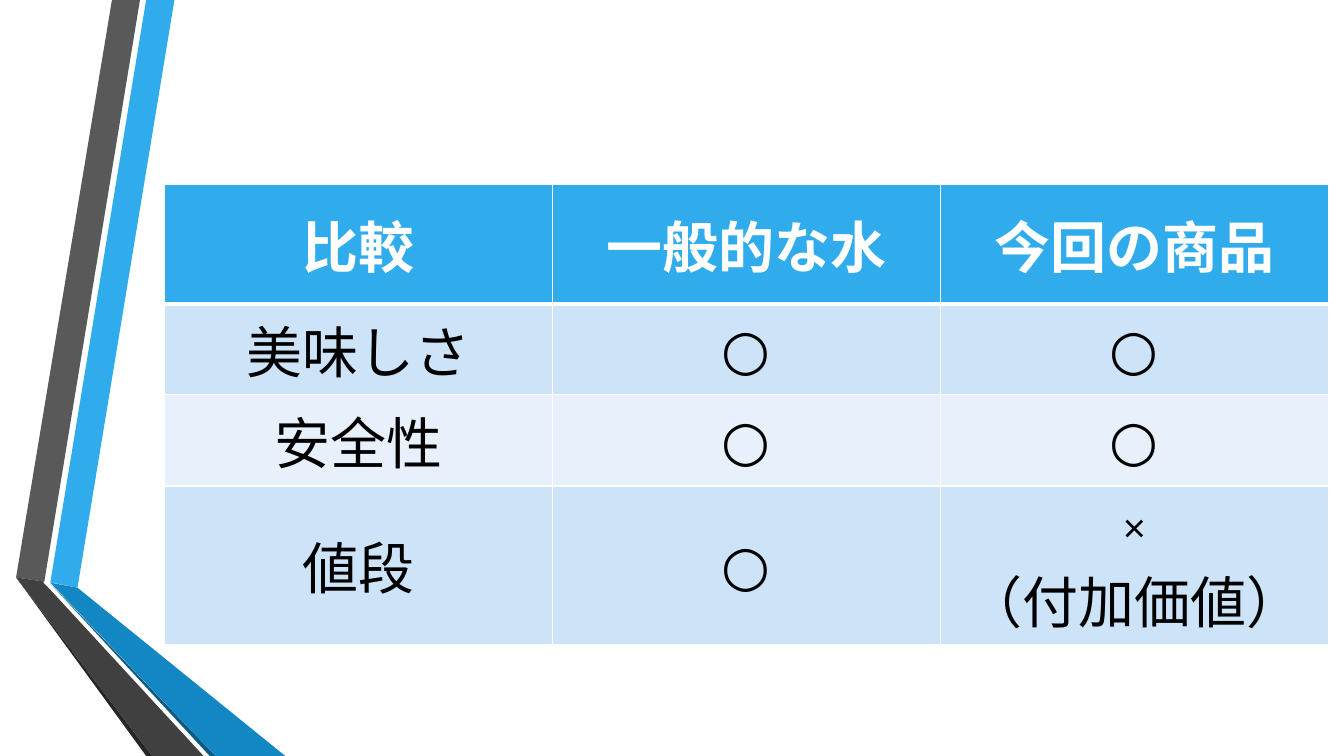
from lxml.etree import SubElement
from pptx import Presentation
from pptx.dml.color import RGBColor
from pptx.enum.text import MSO_ANCHOR as Anchor, PP_ALIGN as Align
from pptx.oxml.ns import qn
from pptx.util import Pt

COLORS = {
    "white": "FFFFFF", "black": "000000",
    "sky": "30ACEC", "ocean": "1287C3", "navy": "0C5A82",
    "gray": "595959", "charcoal": "404040", "ink": "262626",
    "band": "CDE3F8", "pale": "E8F1FB",
}
FONT = "Cabin"

# Ribbon facets from back to front: colour and corners in points
RIBBON = [
    ("sky", [(36, 416), (55.4, 419.8), (124.6, 0), (104.4, 0)]),
    ("gray", [(100, 0), (80, 0), (11.5, 412.5), (31.7, 415.5)]),
    ("ink", [(11.5, 412.5), (104.4, 540), (108.7, 540)]),
    ("navy", [(36, 416.9), (149.8, 540), (154, 540)]),
    ("ocean", [(36, 416.2), (154, 540), (203.8, 540), (55.4, 419.8)]),
    ("charcoal", [(145.4, 540), (34.6, 419.8), (31, 416.2), (31.7, 415.5),
                  (11.5, 412.5), (108.7, 540)]),
]

COMPARISON = [
    ["比較", "一般的な水", "今回の商品"],
    ["美味しさ", "○", "○"],
    ["安全性", "○", "○"],
    ["値段", "○", "×\n（付加価値）"],
]


def rgb(name):
    return RGBColor.from_string(COLORS[name])


def write(frame, text, size=40, color="black", bold=False, align=Align.CENTER):
    frame.text = text
    for paragraph in frame.paragraphs:
        paragraph.alignment = align
        for run in paragraph.runs:
            font = run.font
            font.name, font.size, font.bold = FONT, Pt(size), bold
            font.color.rgb = rgb(color)


class ComparisonSlide:
    def __init__(self, deck):
        self.slide = deck.slides.add_slide(deck.slide_layouts[6])
        self.border = "white"

    def facet(self, color, corners):
        start, *others = [(Pt(x), Pt(y)) for x, y in corners]
        outline = self.slide.shapes.build_freeform(*start)
        outline.add_line_segments(others, close=True)
        facet = outline.convert_to_shape()
        facet.shadow.inherit = False
        facet.fill.solid()
        facet.fill.fore_color.rgb = rgb(color)
        facet.line.fill.background()

    def cell_borders(self, cell, top, bottom):
        properties = cell._tc.get_or_add_tcPr()
        for side, width in (("L", 1), ("R", 1), ("T", top), ("B", bottom)):
            line = SubElement(properties, qn(f"a:ln{side}"), w=str(Pt(width)))
            fill = SubElement(line, qn("a:solidFill"))
            SubElement(fill, qn("a:srgbClr"), val=COLORS[self.border])

    def table(self, rows, left, top, width, height, row_heights):
        frame = self.slide.shapes.add_table(
            len(rows), len(rows[0]), Pt(left), Pt(top), Pt(width), Pt(height))
        grid = frame.table
        for r, (texts, row_height) in enumerate(zip(rows, row_heights)):
            grid.rows[r].height = Pt(row_height)
            header = r == 0
            for c, text in enumerate(texts):
                cell = grid.cell(r, c)
                cell.vertical_anchor = Anchor.MIDDLE
                # Borders come before the fill in the cell properties
                self.cell_borders(cell, top=3 if r == 1 else 1,
                                  bottom=3 if header else 1)
                cell.fill.solid()
                cell.fill.fore_color.rgb = rgb(
                    "sky" if header else "band" if r % 2 else "pale")
                write(cell.text_frame, text, bold=header,
                      color="white" if header else "black")
        frame.height = Pt(height)


def main():
    deck = Presentation()
    deck.slide_width, deck.slide_height = Pt(960), Pt(540)
    page = ComparisonSlide(deck)

    # Folded ribbon on the left
    for color, corners in RIBBON:
        page.facet(color, corners)

    # Comparison of ordinary water and the product
    page.table(COMPARISON, left=117.2, top=132, width=831.6, height=299,
               row_heights=[85, 48, 47, 47])

    deck.save("out.pptx")


if __name__ == "__main__":
    main()
